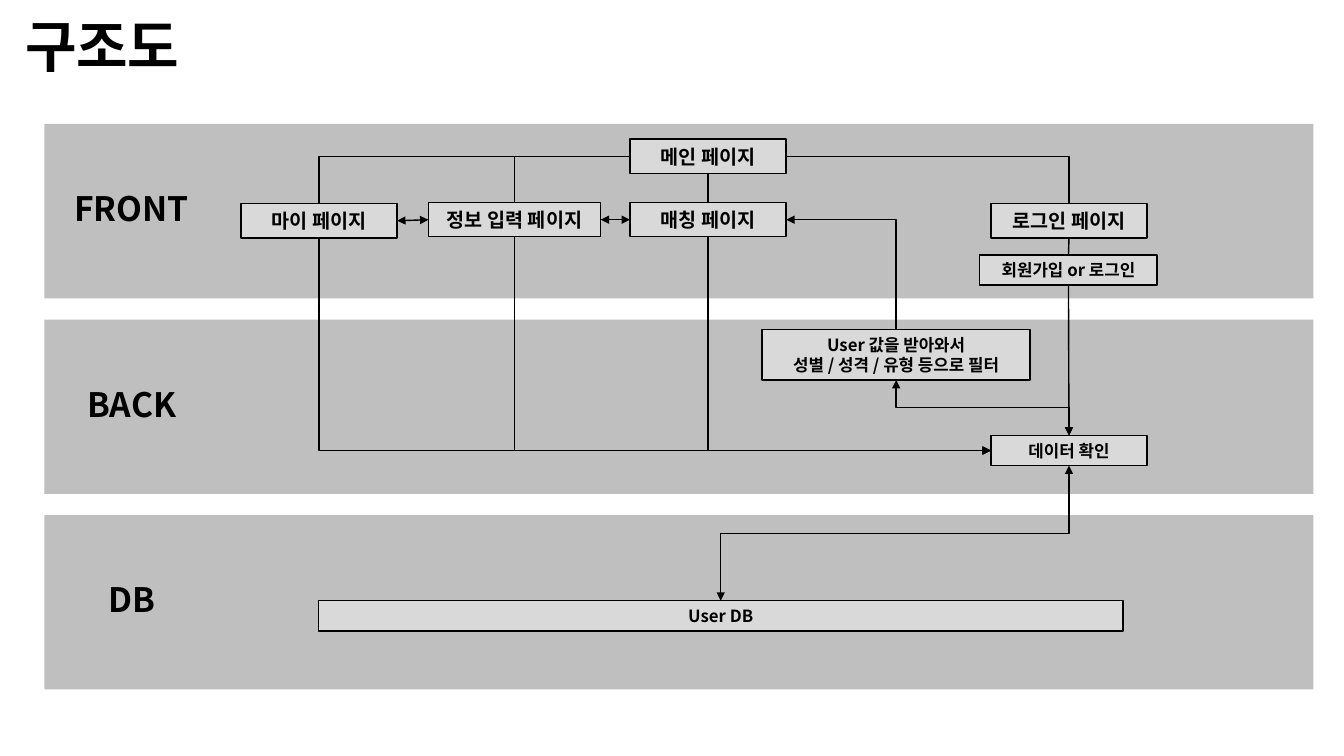
from lxml import etree
from pptx import Presentation
from pptx.dml.color import RGBColor
from pptx.enum.shapes import MSO_CONNECTOR, MSO_SHAPE
from pptx.enum.text import MSO_ANCHOR, PP_ALIGN
from pptx.oxml.ns import qn
from pptx.util import Inches, Pt

RECTANGLE = MSO_SHAPE.RECTANGLE
STRAIGHT, ELBOW = MSO_CONNECTOR.STRAIGHT, MSO_CONNECTOR.ELBOW
MIDDLE = MSO_ANCHOR.MIDDLE
LEFT_ALIGNED, CENTERED = PP_ALIGN.LEFT, PP_ALIGN.CENTER
TOP, LEFT, BOTTOM, RIGHT = range(4)
BLACK = RGBColor(0x00, 0x00, 0x00)
BAND_GRAY = RGBColor(0xBF, 0xBF, 0xBF)
BOX_GRAY = RGBColor(0xD9, 0xD9, 0xD9)
FONT = "Noto Sans CJK KR"
COLUMNS, ROWS = 133.33, 75
BAND_PITCH = 19.4


def write_text(shape, text, size=14, align=CENTERED, spacing=1.0):
    """Write bold black lines into the middle of a shape."""
    frame = shape.text_frame
    frame.word_wrap = True
    frame.vertical_anchor = MIDDLE
    for index, line in enumerate(text.split("\n")):
        paragraph = frame.paragraphs[0] if index == 0 else frame.add_paragraph()
        paragraph.alignment = align
        paragraph.line_spacing = spacing
        run = paragraph.add_run()
        run.text = line
        run.font.size = Pt(size)
        run.font.bold = True
        run.font.color.rgb = BLACK
        run.font.name = FONT
        etree.SubElement(run.font._element, qn("a:ea"), typeface=FONT)


class Diagram:
    """Draw layered boxes and links on one slide, measured in grid cells."""

    def __init__(self, presentation):
        """Add a blank slide and work out the grid."""
        self.slide = presentation.slides.add_slide(presentation.slide_layouts[6])
        self.column = presentation.slide_width / COLUMNS
        self.row = presentation.slide_height / ROWS

    def place(self, left, top, width, height):
        """Turn grid cells into slide lengths."""
        return (round(left * self.column), round(top * self.row),
                round(width * self.column), round(height * self.row))

    def title(self, text, *area):
        """Add the slide heading."""
        shape = self.slide.shapes.add_textbox(*self.place(*area))
        write_text(shape, text, size=40, align=LEFT_ALIGNED, spacing=0.9)

    def panel(self, *area, color=BAND_GRAY):
        """Add a plain rectangle without outline."""
        shape = self.slide.shapes.add_shape(RECTANGLE, *self.place(*area))
        shape.shadow.inherit = False
        shape.fill.solid()
        shape.fill.fore_color.rgb = color
        shape.line.fill.background()
        return shape

    def band(self, text, top):
        """Add a layer with its label."""
        self.panel(4.4, top, 125.9, 17.3)
        label = self.panel(6, top + 6.1, 14.1, 5)
        write_text(label, text, size=24, spacing=0.9)

    def box(self, text, *area, size=14):
        """Add an outlined box with text."""
        shape = self.panel(*area, color=BOX_GRAY)
        shape.line.color.rgb = BLACK
        shape.line.width = Pt(1)
        write_text(shape, text, size=size)
        return shape

    def link(self, begin, begin_side, end, end_side, kind=STRAIGHT, arrows=()):
        """Join two boxes with a line and optional arrowheads."""
        connector = self.slide.shapes.add_connector(kind, 0, 0, 0, 0)
        connector.begin_connect(begin, begin_side)
        connector.end_connect(end, end_side)
        connector.line.color.rgb = BLACK
        connector.line.width = Pt(1)
        line = connector.line._get_or_add_ln()
        for arrow in arrows:
            etree.SubElement(line, qn(f"a:{arrow}End"), type="triangle")
        etree.SubElement(connector._element.spPr, qn("a:effectLst"))
        return connector

    def corner(self, *ends, arrows=()):
        """Join two boxes by a horizontal run and then a vertical run."""
        connector = self.link(*ends, kind=ELBOW, arrows=arrows)
        geometry = connector._element.spPr.find(qn("a:prstGeom"))
        geometry.set("prst", "bentConnector2")

    def step(self, upper, lower):
        """Join an upper box to a lower one through a horizontal middle run."""
        connector = self.link(upper, BOTTOM, lower, TOP, ELBOW, ("head", "tail"))
        goes_right = connector.end_x > connector.begin_x
        width, height = connector.width, connector.height
        connector.left += (width - height) // 2
        connector.top += (height - width) // 2
        connector.width, connector.height = height, width
        transform = connector._element.spPr.find(qn("a:xfrm"))
        transform.set("rot", "5400000")
        transform.set("flipH", "0")
        transform.set("flipV", str(int(goes_right)))


def main():
    """Build the structure diagram."""
    presentation = Presentation()
    presentation.slide_width = Inches(13.33)
    presentation.slide_height = Inches(7.5)
    diagram = Diagram(presentation)

    for index, layer in enumerate(("FRONT", "BACK", "DB")):
        diagram.band(layer, 12.3 + index * BAND_PITCH)
    diagram.title("구조도", 1.5, 0, 28.5, 9.8)

    main_page = diagram.box("메인 페이지", 62.5, 13.8, 15.5, 3.4)
    login_page = diagram.box("로그인 페이지", 98.3, 20.2, 15.5, 3.4)
    my_page = diagram.box("마이 페이지", 23.9, 20.2, 15.5, 3.4)
    input_page = diagram.box("정보 입력 페이지", 42.5, 20.1, 17.1, 3.4)
    match_page = diagram.box("매칭 페이지", 62.5, 20.1, 15.5, 3.4)
    sign_in = diagram.box("회원가입 or 로그인", 97.2, 25.3, 17.6, 3, size=12)
    user_filter = diagram.box("User 값을 받아와서\n성별 / 성격 / 유형 등으로 필터",
                              75.6, 32.7, 26.6, 5, size=12)
    data_check = diagram.box("데이터 확인", 98.3, 43.2, 15.5, 3, size=12)
    user_database = diagram.box("User DB", 31.6, 59.6, 79.8, 3, size=12)

    for page in (my_page, input_page, match_page):
        diagram.corner(data_check, LEFT, page, BOTTOM, arrows=("head",))
    for page, side in ((my_page, LEFT), (input_page, LEFT), (login_page, RIGHT)):
        diagram.corner(main_page, side, page, TOP)
    diagram.corner(match_page, RIGHT, user_filter, TOP, arrows=("head",))

    diagram.link(main_page, BOTTOM, match_page, TOP)
    diagram.link(login_page, BOTTOM, sign_in, TOP)
    diagram.link(sign_in, BOTTOM, data_check, TOP, arrows=("tail",))
    for left_page, right_page in ((my_page, input_page), (input_page, match_page)):
        diagram.link(left_page, RIGHT, right_page, LEFT, arrows=("head", "tail"))

    diagram.step(user_filter, data_check)
    diagram.step(data_check, user_database)
    presentation.save("out.pptx")


if __name__ == "__main__":
    main()
